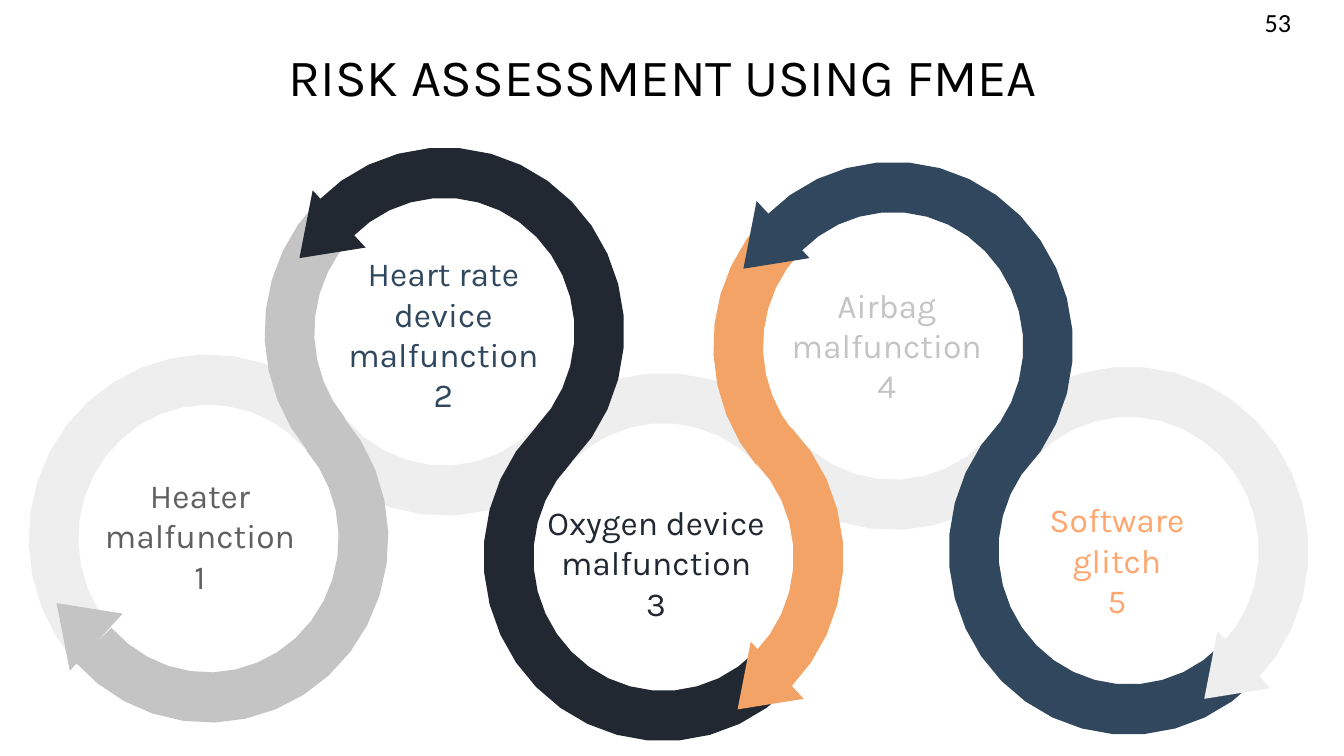
from dataclasses import dataclass
from math import cos, radians, sin

from pptx import Presentation
from pptx.dml.color import RGBColor
from pptx.enum.text import MSO_ANCHOR, MSO_AUTO_SIZE, PP_ALIGN
from pptx.util import Cm, Pt


@dataclass(frozen=True)
class Theme:
    black: str = "000000"
    light: str = "EEEEEE"
    silver: str = "C4C4C4"
    charcoal: str = "222831"
    orange: str = "F2A365"
    navy: str = "30475E"
    gray: str = "606060"
    peach: str = "FFA66F"
    font: str = "Karla"
    number_font: str = "Calibri"
    title_size: int = 28
    label_size: int = 18
    number_size: int = 14


THEME = Theme()

# Ring radii in cm (horizontal, vertical) and degrees between outline points
OUTER = (3.4, 3.48)
INNER = (2.46, 2.53)
ARC_STEP = 10

# Ring centre, label offset from it, label colour, label text
RINGS = [
    ((3.4, 7.39), (-0.16, -0.06), THEME.gray, "Heater malfunction"),
    ((7.86, 3.48), (-0.02, 0.04), THEME.navy, "Heart rate device malfunction"),
    ((12, 7.74), (-0.14, 0.1), THEME.charcoal, "Oxygen device malfunction"),
    ((16.34, 3.75), (-0.12, -0.02), THEME.silver, "Airbag malfunction"),
    ((20.79, 7.62), (-0.22, 0.17), THEME.peach, "Software glitch"),
]

# Colour, then arcs as (ring index, start degrees, end degrees), clockwise from the right
BANDS = [
    (THEME.light, [(0, 138, 318)]),
    (THEME.light, [(1, 45, 139)]),
    (THEME.light, [(2, 225, 315)]),
    (THEME.light, [(3, 45, 139)]),
    (THEME.light, [(4, 225, 405)]),
    (THEME.charcoal, [(1, 225, 405), (2, 225, 45)]),
    (THEME.silver, [(1, 225, 139), (0, -42, 138)]),
    (THEME.orange, [(3, 225, 139), (2, -45, 45)]),
    (THEME.navy, [(3, 225, 405), (4, 225, 45)]),
]

# Colour, tip, vertical direction of the arrowhead's base
HEADS = [
    (THEME.silver, (0.53, 8.61), 1),
    (THEME.charcoal, (5.12, 2.09), -1),
    (THEME.orange, (13.4, 10.62), -1),
    (THEME.light, (22.22, 10.42), -1),
    (THEME.navy, (13.51, 2.29), -1),
]


def add_run(para, text, font, size, color):
    span = para.add_run()
    span.text = text
    span.font.name = font
    span.font.size = Pt(size)
    span.font.color.rgb = RGBColor.from_string(color)


def set_frame(frame, anchor, inset_y):
    frame.word_wrap = True
    frame.auto_size = MSO_AUTO_SIZE.NONE
    frame.vertical_anchor = anchor
    frame.margin_left = frame.margin_right = Cm(0.25)
    frame.margin_top = frame.margin_bottom = Cm(inset_y)


def add_outline(page, points, color):
    corners = [(Cm(x), Cm(y)) for x, y in points]
    builder = page.shapes.build_freeform(*corners[0])
    builder.add_line_segments(corners[1:], close=True)
    shape = builder.convert_to_shape()
    shape.shadow.inherit = False
    shape.fill.solid()
    shape.fill.fore_color.rgb = RGBColor.from_string(color)
    shape.line.fill.background()


def arc_points(center, radii, start, end):
    steps = round(abs(end - start) / ARC_STEP)
    angles = [radians(start + (end - start) * i / steps) for i in range(steps + 1)]
    return [(center[0] + radii[0] * cos(a), center[1] + radii[1] * sin(a))
            for a in angles]


def add_title(page, left, top, width, height):
    title = page.shapes.title
    title.left, title.top, title.width, title.height = map(Cm, (left, top, width, height))
    set_frame(title.text_frame, MSO_ANCHOR.MIDDLE, 0.25)
    para = title.text_frame.paragraphs[0]
    para.alignment = PP_ALIGN.LEFT
    add_run(para, "RISK ASSESSMENT USING FMEA", THEME.font, THEME.title_size, THEME.black)


def add_page_number(page, left, top, width, height):
    box = page.shapes.add_textbox(*map(Cm, (left, top, width, height)))
    set_frame(box.text_frame, MSO_ANCHOR.TOP, 0.13)
    add_run(box.text_frame.paragraphs[0], "53", THEME.number_font,
            THEME.number_size, THEME.black)


def add_label(page, center, number, text, color, width=4.72, height=0.74):
    box = page.shapes.add_textbox(Cm(center[0] - width / 2), Cm(center[1] - height / 2),
                                  Cm(width), Cm(height))
    frame = box.text_frame
    set_frame(frame, MSO_ANCHOR.MIDDLE, 0.25)
    for para, line in ((frame.paragraphs[0], text), (frame.add_paragraph(), str(number))):
        para.alignment = PP_ALIGN.CENTER
        add_run(para, line, THEME.font, THEME.label_size, color)


def add_ring_chain(page, left, top):
    centers = [(left + x, top + y) for (x, y), *_ in RINGS]

    # Bands: the outer and inner edges swap where one ring passes into the next
    for color, arcs in BANDS:
        edges = ([], [])
        for i, (ring, start, end) in enumerate(arcs):
            edges[i % 2].extend(arc_points(centers[ring], OUTER, start, end))
            edges[1 - i % 2].extend(arc_points(centers[ring], INNER, start, end))
        add_outline(page, edges[0] + edges[1][::-1], color)

    # Arrowheads
    for color, (x, y), side in HEADS:
        x, y = left + x, top + y
        add_outline(page, [(x, y), (x + 0.25, y + 1.28 * side),
                           (x + 1.25, y + 0.2 * side)], color)

    # Labels
    for number, ((x, y), ring) in enumerate(zip(centers, RINGS), 1):
        _, (shift_x, shift_y), color, text = ring
        add_label(page, (x + shift_x, y + shift_y), number, text, color)


def main():
    deck = Presentation()
    deck.slide_width, deck.slide_height = Cm(25.4), Cm(14.29)
    page = deck.slides.add_slide(deck.slide_layouts[5])
    add_page_number(page, 23.65, 0, 1.75, 0.76)
    add_title(page, 5.21, 0.89, 14.99, 1.07)
    add_ring_chain(page, 0.54, 2.79)
    deck.save("out.pptx")


if __name__ == "__main__":
    main()
